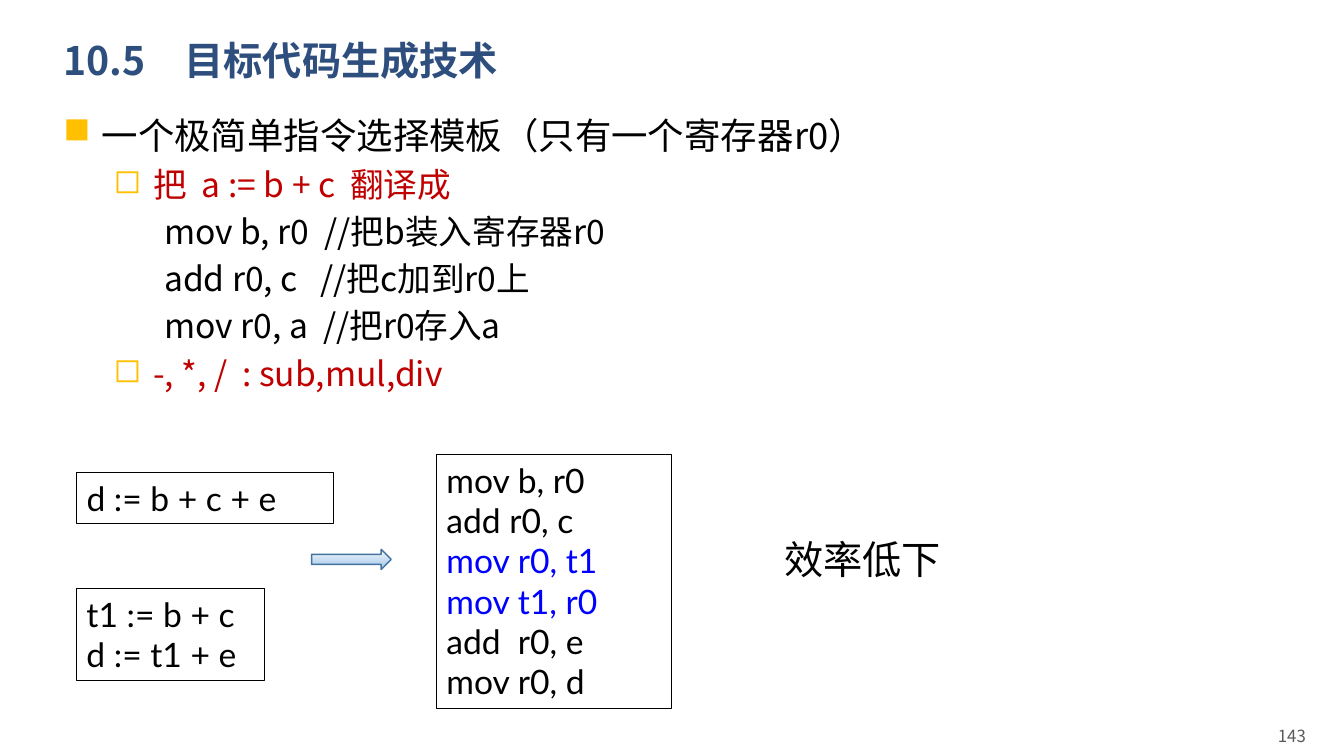
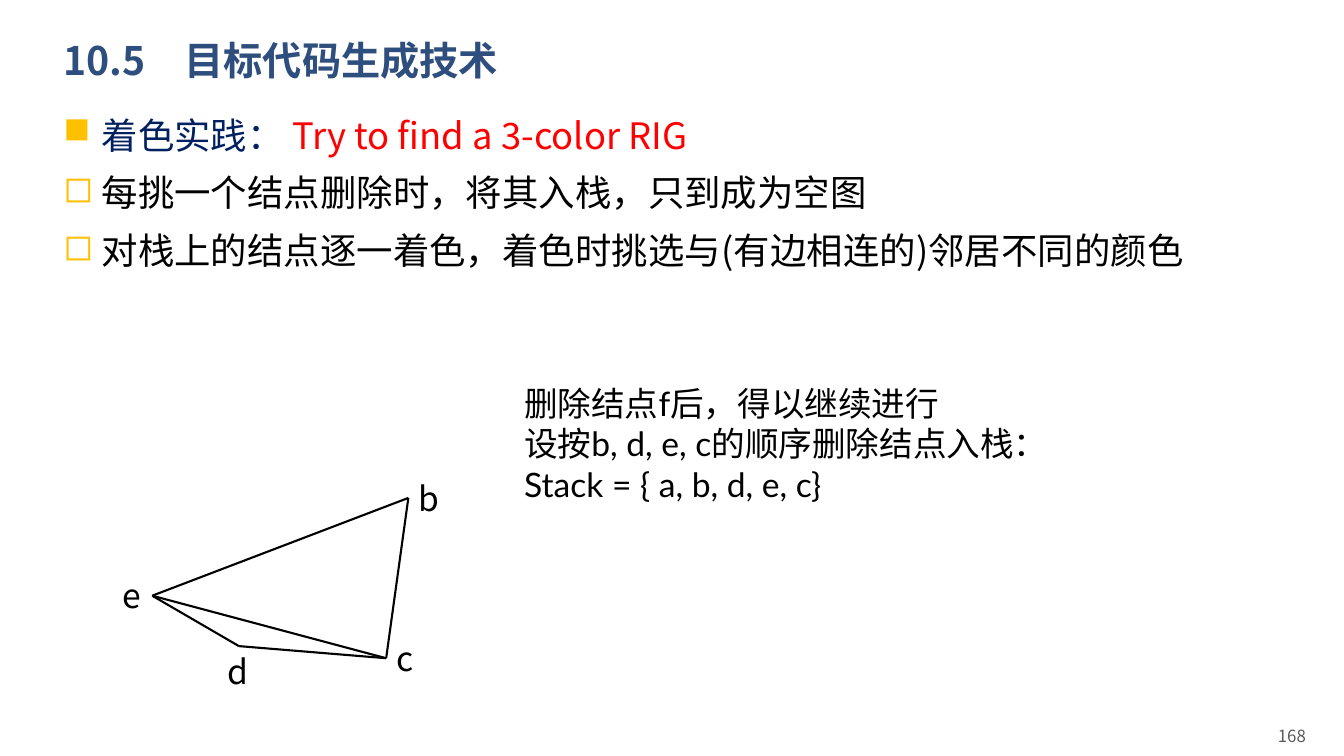
import pptx
import pptx.util
import pptx.dml.color
import pptx.enum.shapes
import pptx.enum.text
import pptx.oxml
import pptx.oxml.ns

Inches = pptx.util.Inches
Pt = pptx.util.Pt
ALIGN = pptx.enum.text.PP_ALIGN
ANCHOR = pptx.enum.text.MSO_ANCHOR
SHAPE = pptx.enum.shapes.MSO_SHAPE
DRAWING = pptx.oxml.ns.nsdecls("a")

CJK, LATIN = "Noto Sans CJK SC", "Lato"
BLACK, TITLE, NAVY, GREY = "000000", "2E4E7E", "002060", "595959"
RED, DARK_RED, BLUE, GOLD = "FF0000", "C00000", "0000FF", "FFC000"
ARROW_LINE = "43739E"
ARROW_STOPS = [(0, "F7FAFD"), (74, "B5D2EC"), (83, "B5D2EC"), (100, "CEE1F2")]

# Outline levels: left margin, first-line indent, size, space before
LEVELS = [(0.38, -0.38, 26, 10), (0.89, -0.39, 24, 5), (1, 0, 24, 5)]
FILLED, HOLLOW = "■", "◻"


def rgb(value):
    return pptx.dml.color.RGBColor.from_string(value)


class Deck:
    def __init__(self):
        self.presentation = pptx.Presentation()
        self.presentation.slide_width = Inches(13.33)
        self.presentation.slide_height = Inches(7.5)
        self.slide = None

    def add_slide(self, title, number):
        layout = self.presentation.slide_layouts[5]
        self.slide = self.presentation.slides.add_slide(layout)
        shape = self.slide.shapes.title
        shape.left, shape.top = Inches(0.53), Inches(0.28)
        shape.width, shape.height = Inches(11.5), Inches(0.68)
        shape.text_frame.text = title
        shape.text_frame.vertical_anchor = ANCHOR.MIDDLE
        paragraph = shape.text_frame.paragraphs[0]
        paragraph.alignment = ALIGN.LEFT
        paragraph.line_spacing = 0.9
        self.format_run(paragraph.runs[0], 28, TITLE, CJK, bold=True)
        # Page number
        self.text(9.16, 7.1, 3.89, 0.4, [(number, GREY)], 12, CJK,
                  align=ALIGN.RIGHT, anchor=ANCHOR.MIDDLE)

    def format_run(self, run, size, color, font, bold=False):
        run.font.size = Pt(size)
        run.font.bold = bold
        run.font.color.rgb = rgb(color)
        run.font.name = font
        run.font._element.append(pptx.oxml.parse_xml(
            f'<a:ea {DRAWING} typeface="{CJK}"/>'))

    def fill_lines(self, frame, lines, size, font, align):
        for index, (text, color) in enumerate(lines):
            paragraph = frame.paragraphs[0] if index == 0 else frame.add_paragraph()
            paragraph.text = text
            paragraph.alignment = align
            self.format_run(paragraph.runs[0], size, color, font)

    def text(self, left, top, width, height, lines, size=24, font=LATIN,
             align=ALIGN.LEFT, anchor=ANCHOR.TOP, wrap=True):
        shape = self.slide.shapes.add_textbox(
            Inches(left), Inches(top), Inches(width), Inches(height))
        shape.text_frame.word_wrap = wrap
        shape.text_frame.vertical_anchor = anchor
        self.fill_lines(shape.text_frame, lines, size, font, align)

    def code_box(self, left, top, width, height, lines):
        shape = self.slide.shapes.add_shape(
            SHAPE.RECTANGLE, Inches(left), Inches(top), Inches(width), Inches(height))
        shape.shadow.inherit = False
        shape.fill.background()
        shape.line.color.rgb = rgb(BLACK)
        shape.line.width = Pt(0.75)
        shape.text_frame.vertical_anchor = ANCHOR.TOP
        self.fill_lines(shape.text_frame, lines, 24, LATIN, ALIGN.LEFT)

    def outline(self, left, top, width, height, items):
        """Each item is a level, a bullet or None, and its coloured parts."""
        frame = self.slide.shapes.add_textbox(
            Inches(left), Inches(top), Inches(width), Inches(height)).text_frame
        frame.word_wrap = True
        for index, (level, bullet, parts) in enumerate(items):
            margin, indent, size, space = LEVELS[level]
            paragraph = frame.paragraphs[0] if index == 0 else frame.add_paragraph()
            properties = paragraph._p.get_or_add_pPr()
            properties.set("marL", str(Inches(margin)))
            properties.set("indent", str(Inches(indent)))
            if bullet:
                properties.append(pptx.oxml.parse_xml(
                    f'<a:buClr {DRAWING}><a:srgbClr val="{GOLD}"/></a:buClr>'))
                properties.append(pptx.oxml.parse_xml(
                    f'<a:buChar {DRAWING} char="{bullet}"/>'))
            paragraph.level = level
            paragraph.alignment = ALIGN.JUSTIFY
            if index:
                paragraph.space_before = Pt(space)
            for text, color in parts:
                run = paragraph.add_run()
                run.text = text
                self.format_run(run, size, color, CJK)

    def block_arrow(self, left, top, width, height):
        shape = self.slide.shapes.add_shape(
            SHAPE.RIGHT_ARROW, Inches(left), Inches(top), Inches(width), Inches(height))
        shape.shadow.inherit = False
        shape.line.color.rgb = rgb(ARROW_LINE)
        shape.line.width = Pt(1)
        stops = "".join(f'<a:gs pos="{position * 1000}"><a:srgbClr val="{color}"/></a:gs>'
                        for position, color in ARROW_STOPS)
        shape._element.spPr.find(pptx.oxml.ns.qn("a:prstGeom")).addnext(
            pptx.oxml.parse_xml(f'<a:gradFill {DRAWING}><a:gsLst>{stops}</a:gsLst>'
                                '<a:lin ang="5400000" scaled="0"/></a:gradFill>'))

    def edge(self, start, end):
        connector = self.slide.shapes.add_connector(
            pptx.enum.shapes.MSO_CONNECTOR.STRAIGHT,
            *(Inches(value) for value in (*start, *end)))
        connector.line.color.rgb = rgb(BLACK)
        connector.line.width = Pt(1.5)
        connector._element.spPr.append(
            pptx.oxml.parse_xml(f"<a:effectLst {DRAWING}/>"))


def black(*lines):
    return [(line, BLACK) for line in lines]


def template_slide(deck):
    deck.add_slide("10.5　目标代码生成技术", "143")
    deck.outline(0.53, 1.07, 11.5, 3.44, [
        (0, FILLED, black("一个极简单指令选择模板（只有一个寄存器r0）")),
        (1, HOLLOW, [("把  a := b + c  翻译成", DARK_RED)]),
        (2, None, black("mov b, r0  //把b装入寄存器r0")),
        (2, None, black("add r0, c   //把c加到r0上")),
        (2, None, black("mov r0, a  //把r0存入a")),
        (1, HOLLOW, [("-, *, /  : sub,mul,div", DARK_RED)]),
    ])
    # Source expression, three-address code and generated code
    deck.code_box(0.76, 4.69, 2.55, 0.5, black("d := b + c + e"))
    deck.code_box(0.76, 5.84, 1.86, 0.91, black("t1 := b + c", "d := t1 + e"))
    deck.block_arrow(3.09, 5.45, 0.79, 0.2)
    deck.code_box(4.33, 4.51, 2.33, 2.52, [
        *black("mov b, r0", "add r0, c"),
        ("mov r0, t1", BLUE), ("mov t1, r0", BLUE),
        *black("add  r0, e", "mov r0, d")])
    deck.text(7.68, 5.26, 1.77, 0.57, black("效率低下"), 28, wrap=False)


def coloring_slide(deck):
    deck.add_slide("10.5　目标代码生成技术", "168")
    deck.outline(0.53, 1.07, 12.51, 2.45, [
        (0, FILLED, [("着色实践：", NAVY), (" Try to find a 3-color RIG", RED)]),
        (0, HOLLOW, black("每挑一个结点删除时，将其入栈，只到成为空图")),
        (0, HOLLOW, black("对栈上的结点逐一着色，着色时挑选与(有边相连的)邻居不同的颜色")),
    ])
    # Interference graph: node position, then label left, top and width
    nodes = {
        "b": ((4.05, 4.94), (4.05, 4.69, 0.42)),
        "c": ((3.83, 6.53), (3.83, 6.28, 0.37)),
        "d": ((2.37, 6.41), (2.16, 6.41, 0.42)),
        "e": ((1.51, 5.91), (1.12, 5.65, 0.39)),
    }
    for name, (_, label) in nodes.items():
        deck.text(*label, 0.5, black(name), font=CJK, wrap=False)
    for start, end in ("cd", "ec", "ed", "eb", "cb"):
        deck.edge(nodes[start][0], nodes[end][0])
    # Stack after the removals
    deck.text(5.1, 3.75, 8.23, 1.31, black(
        "删除结点f后，得以继续进行",
        "设按b, d, e, c的顺序删除结点入栈：",
        "Stack = { a, b, d, e, c}"))


def main():
    deck = Deck()
    template_slide(deck)
    coloring_slide(deck)
    deck.presentation.save("out.pptx")


if __name__ == "__main__":
    main()
